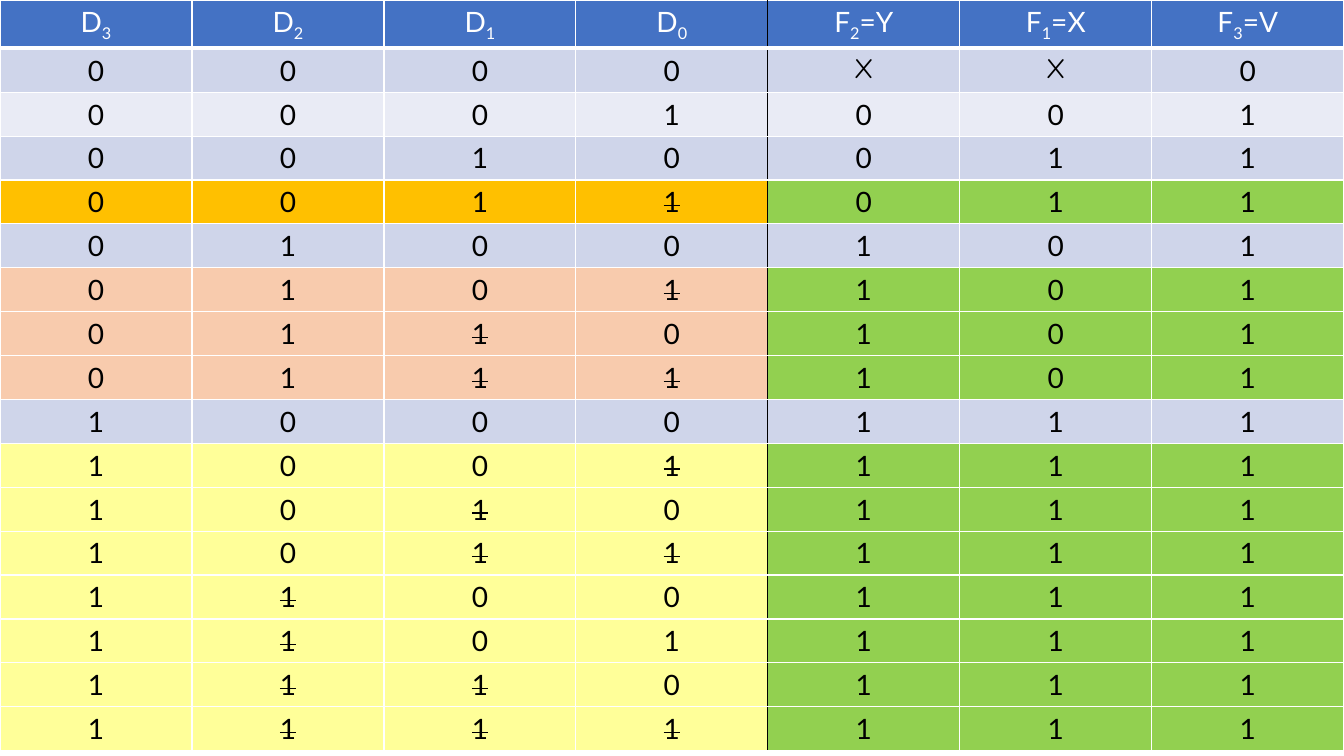
from dataclasses import dataclass

from lxml import etree
from pptx import Presentation
from pptx import util as u
from pptx.dml.color import RGBColor
from pptx.enum import text
from pptx.oxml.ns import qn


@dataclass(frozen=True)
class Theme:
    """Colours, fonts and type sizes of the slide."""
    header: str = "4472C4"
    band_dark: str = "CFD5EA"
    band_light: str = "E9EBF5"
    output: str = "92D050"
    inputs: tuple = ("", "FFC000", "F8CBAD", "FFFF99")
    rule: str = "FFFFFF"
    divider: str = "000000"
    header_ink: str = "FFFFFF"
    ink: str = "000000"
    face: str = "Lato"
    mark_face: str = "Comic Neue"
    size: int = 20


THEME = Theme()
BITS = 4
ROW_HEIGHT = 0.35
HEADINGS = [("D", str(bit), "") for bit in reversed(range(BITS))] + [
    ("F", "2", "=Y"), ("F", "1", "=X"), ("F", "3", "=V")]
UNSTRUCK = {(13, 3)}


def add_run(paragraph, wording, ink, face=THEME.face, **marks):
    """Append a run; marks are raw run properties such as baseline or strike."""
    run = paragraph.add_run()
    run.text = wording
    for name, value in {"name": face, "size": u.Pt(THEME.size), "bold": False}.items():
        setattr(run.font, name, value)
    run.font.color.rgb = RGBColor.from_string(ink)
    for name, value in marks.items():
        run._r.get_or_add_rPr().set(name, value)


def rule_cell(cell, column, is_header):
    """Rule the sides of a cell, with a dark divider between inputs and outputs."""
    sides = {
        "lnL": (THEME.divider if column == BITS else THEME.rule, 1),
        "lnR": (THEME.divider if column == BITS - 1 else THEME.rule, 1),
        "lnT": (THEME.rule, 1),
        "lnB": (THEME.rule, 3 if is_header else 1),
    }
    if column == 0:
        del sides["lnL"]
    properties = cell._tc.get_or_add_tcPr()
    for place, (side, (colour, width)) in enumerate(sides.items()):
        line = etree.Element(qn(f"a:{side}"), w=str(u.Pt(width)))
        solid = etree.SubElement(line, qn("a:solidFill"))
        etree.SubElement(solid, qn("a:srgbClr"), val=colour)
        properties.insert(place, line)


def format_cell(cell, column, fill, is_header=False):
    """Fill and rule a cell and return its centred paragraph."""
    cell.fill.solid()
    cell.fill.fore_color.rgb = RGBColor.from_string(fill)
    rule_cell(cell, column, is_header)
    paragraph = cell.text_frame.paragraphs[0]
    paragraph.alignment = text.PP_ALIGN.CENTER
    return paragraph


def fill_header(table):
    """Write the signal names with their subscripts."""
    for column, (signal, index, result) in enumerate(HEADINGS):
        paragraph = format_cell(table.cell(0, column), column, THEME.header, True)
        add_run(paragraph, signal, THEME.header_ink)
        add_run(paragraph, index, THEME.header_ink, baseline="-25000")
        if result:
            add_run(paragraph, result, THEME.header_ink)


def fill_state(table, state):
    """Write one input state and the output of the priority encoder."""
    bits = f"{state:0{BITS}b}"
    priority = state.bit_length() - 1
    outputs = f"{priority:02b}1" if state else "XX0"
    is_plain = state & (state - 1) == 0
    band = THEME.band_light if state == 1 else THEME.band_dark
    for column, value in enumerate(bits + outputs):
        is_input = column < BITS
        shade = THEME.inputs[priority] if is_input else THEME.output
        paragraph = format_cell(table.cell(state + 1, column), column,
                                band if is_plain else shade)
        is_struck = (is_input and value == "1" and "1" in bits[:column]
                     and (state, column) not in UNSTRUCK)
        marks = {"strike": "sngStrike"} if is_struck else {}
        face = THEME.mark_face if value == "X" else THEME.face
        add_run(paragraph, value, THEME.ink, face, **marks)


def truth_table(slide, left, top, width, height):
    """Place the truth table of the priority encoder in the given box."""
    states = 2 ** BITS
    frame = slide.shapes.add_table(states + 1, len(HEADINGS), left, top, width, height)
    for row in frame.table.rows:
        row.height = u.Inches(ROW_HEIGHT)
    frame.height = height
    fill_header(frame.table)
    for state in range(states):
        fill_state(frame.table, state)


def main():
    """Build and save the slide."""
    deck = Presentation()
    deck.slide_width, deck.slide_height = u.Inches(13.33), u.Inches(7.5)
    slide = deck.slides.add_slide(deck.slide_layouts[6])
    truth_table(slide, 0, 0, deck.slide_width, u.Inches(7.37))
    deck.save("out.pptx")


if __name__ == "__main__":
    main()
